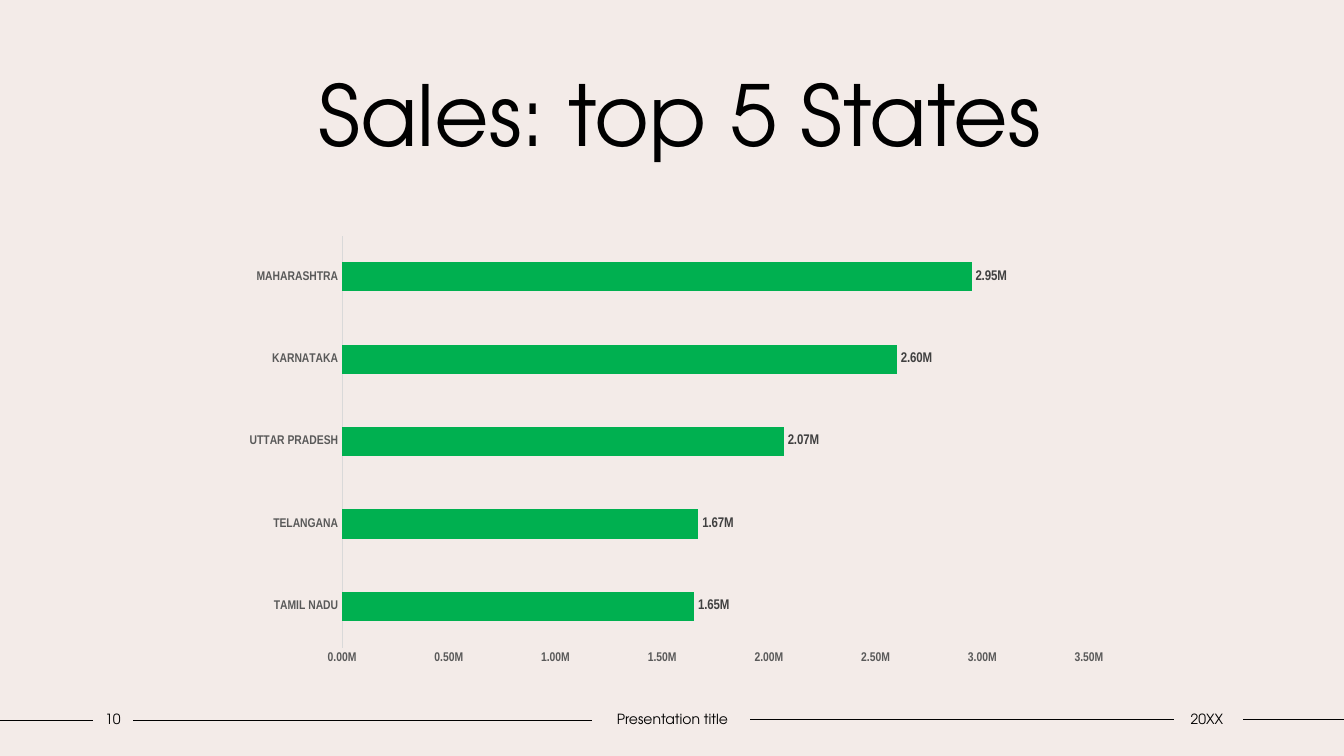
from typing import Any, NamedTuple

from lxml import etree
from pptx import Presentation
from pptx import util as u
from pptx.chart.data import CategoryChartData
from pptx.dml.color import RGBColor
from pptx.enum import chart as ch
from pptx.enum import shapes, text
from pptx.oxml import ns

BACKGROUND = RGBColor(0xF3, 0xEB, 0xE8)
BLACK = RGBColor(0x00, 0x00, 0x00)
GREEN = RGBColor(0x00, 0xB0, 0x50)
AXIS_TEXT = RGBColor(0x59, 0x59, 0x59)
AXIS_LINE = RGBColor(0xD9, 0xD9, 0xD9)
LABEL_TEXT = RGBColor(0x40, 0x40, 0x40)

HEADING_FONT = "TeX Gyre Adventor"
CHART_FONT = "Arial Narrow"
MILLIONS = '0.00,,"M"'


class Rule(NamedTuple):
    start: float
    end: float
    y: float


class Caption(NamedTuple):
    wording: str
    left: float
    top: float
    width: float
    height: float
    size: int
    side_inset: float = 0


RULES = [
    Rule(0, 0.92, 7.15),
    Rule(1.32, 5.87, 7.15),
    Rule(7.44, 11.64, 7.14),
    Rule(12.33, 13.33, 7.14),
]
CAPTIONS = [
    Caption("Sales: top 5 States", 0.55, 0.56, 12.38, 1.11, 60, 0.1),
    Caption("10", 0.92, 7, 0.4, 0.27, 10),
    Caption("Presentation title", 5.87, 7, 1.6, 0.27, 10),
    Caption("20XX", 11.62, 7, 0.7, 0.27, 10),
]
STATE_SALES = {
    "TAMIL NADU": 1_650_000,
    "TELANGANA": 1_670_000,
    "UTTAR PRADESH": 2_070_000,
    "KARNATAKA": 2_600_000,
    "MAHARASHTRA": 2_950_000,
}


def apply(target: Any, values: dict[str, Any]) -> None:
    for name, value in values.items():
        setattr(target, name, value)


def style_font(font: Any, name: str, size: float, color: RGBColor, bold: bool = False) -> None:
    apply(font, {"name": name, "size": u.Pt(size), "bold": bold})
    font.color.rgb = color


def draw_rule(slide: Any, rule: Rule) -> None:
    y = u.Inches(rule.y)
    line = slide.shapes.add_connector(
        shapes.MSO_CONNECTOR.STRAIGHT, u.Inches(rule.start), y, u.Inches(rule.end), y
    )
    line.line.color.rgb = BLACK
    line.line.width = u.Pt(1)
    etree.SubElement(line._element.spPr, ns.qn("a:effectLst"))


def draw_caption(slide: Any, caption: Caption) -> None:
    box = slide.shapes.add_textbox(*map(u.Inches, caption[1:5]))
    frame = box.text_frame
    apply(frame, {
        "word_wrap": True,
        "vertical_anchor": text.MSO_ANCHOR.MIDDLE,
        "margin_left": u.Inches(caption.side_inset),
        "margin_right": u.Inches(caption.side_inset),
        "margin_top": u.Inches(0.05),
        "margin_bottom": u.Inches(0.05),
    })
    paragraph = frame.paragraphs[0]
    paragraph.alignment = text.PP_ALIGN.CENTER
    run = paragraph.add_run()
    run.text = caption.wording
    style_font(run.font, HEADING_FONT, caption.size, BLACK)


def draw_sales_chart(slide: Any) -> None:
    sales = CategoryChartData()
    sales.categories = list(STATE_SALES)
    sales.add_series("Series 1", list(STATE_SALES.values()))
    area = map(u.Inches, (2.3, 2.25, 8.82, 4.43))
    chart = slide.shapes.add_chart(ch.XL_CHART_TYPE.BAR_CLUSTERED, *area, sales).chart
    apply(chart, {"has_legend": False, "has_title": False})
    style_font(chart.font, CHART_FONT, 10, BLACK)

    # Axes
    states, amounts = chart.category_axis, chart.value_axis
    for axis in (states, amounts):
        apply(axis, {
            "has_major_gridlines": False,
            "major_tick_mark": ch.XL_TICK_MARK.NONE,
            "minor_tick_mark": ch.XL_TICK_MARK.NONE,
        })
        style_font(axis.tick_labels.font, CHART_FONT, 9, AXIS_TEXT, True)
    states.format.line.color.rgb = AXIS_LINE
    states.format.line.width = u.Pt(0.75)
    amounts.format.line.fill.background()
    apply(amounts, {"minimum_scale": 0, "maximum_scale": 3_500_000, "major_unit": 500_000})

    # Bars and their values
    plot = chart.plots[0]
    apply(plot, {"gap_width": 182, "vary_by_categories": False, "has_data_labels": True})
    bars = plot.series[0].format.fill
    bars.solid()
    bars.fore_color.rgb = GREEN
    labels = plot.data_labels
    apply(labels, {"show_value": True, "position": ch.XL_LABEL_POSITION.OUTSIDE_END})
    style_font(labels.font, CHART_FONT, 10, LABEL_TEXT, True)
    for numbers in (labels, amounts.tick_labels):
        apply(numbers, {"number_format": MILLIONS, "number_format_is_linked": False})


def main() -> None:
    deck = Presentation()
    apply(deck, {"slide_width": u.Inches(13.33), "slide_height": u.Inches(7.5)})
    slide = deck.slides.add_slide(deck.slide_layouts[6])
    slide.background.fill.solid()
    slide.background.fill.fore_color.rgb = BACKGROUND

    # Footer lines, then title and footer wording
    for rule in RULES:
        draw_rule(slide, rule)
    for caption in CAPTIONS:
        draw_caption(slide, caption)

    draw_sales_chart(slide)
    deck.save("out.pptx")


if __name__ == "__main__":
    main()
